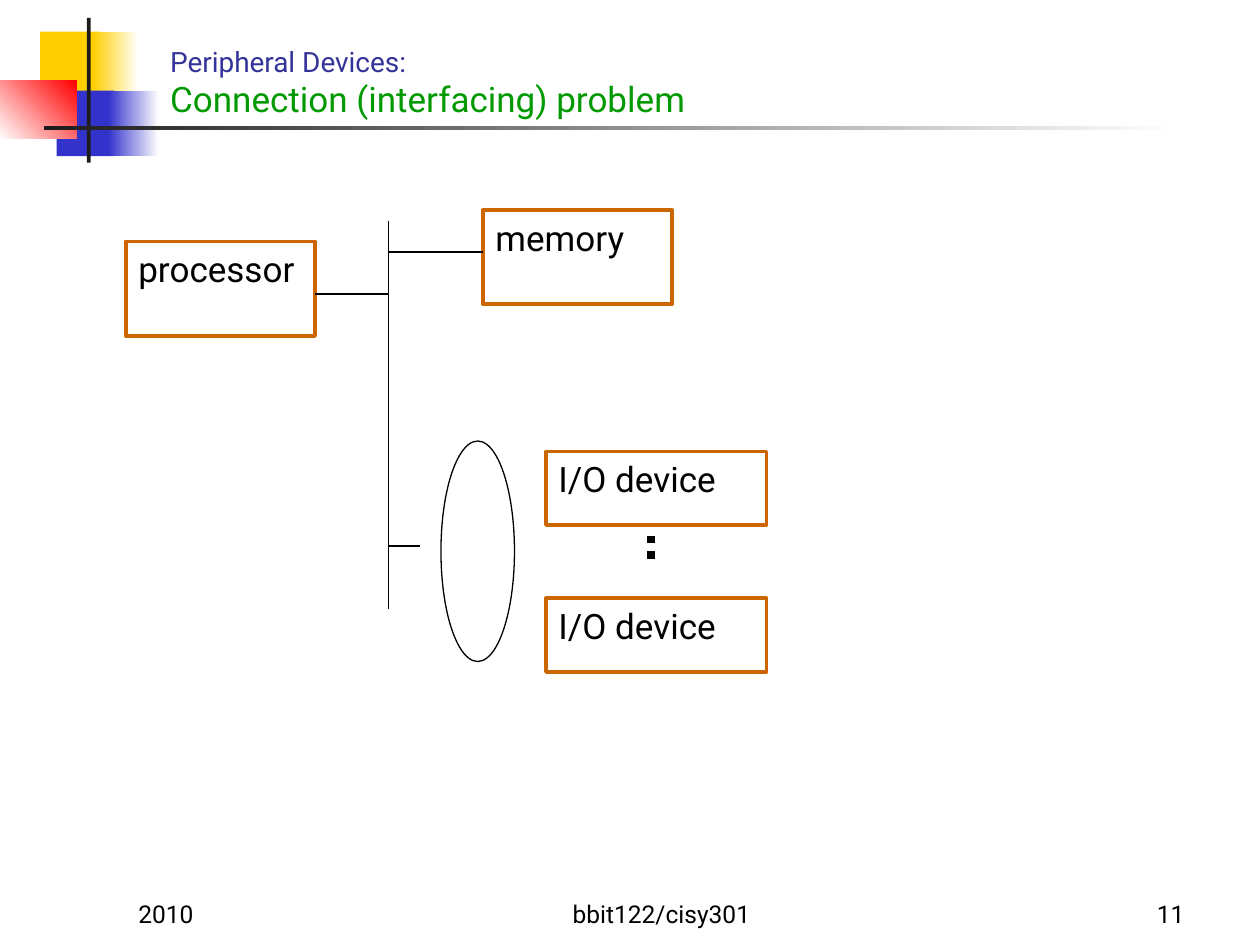
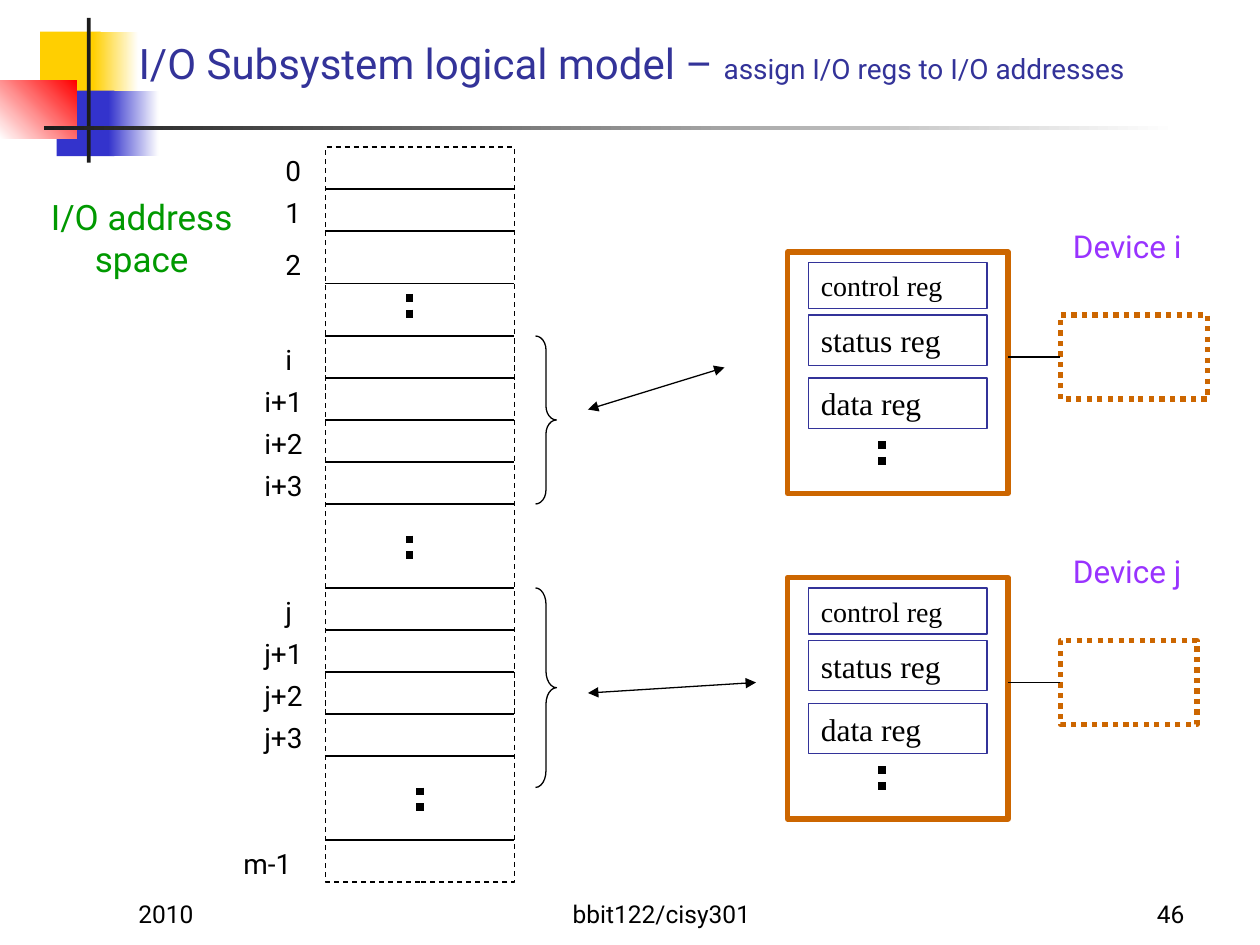
from dataclasses import dataclass

from pptx import Presentation
from pptx.dml.color import RGBColor as Rgb
from pptx.enum.dml import MSO_LINE as Dash
from pptx.enum.shapes import MSO_CONNECTOR as Link, MSO_SHAPE as Preset
from pptx.enum.text import MSO_ANCHOR as Anchor, MSO_AUTO_SIZE as Fit, PP_ALIGN as Align
from pptx.oxml.ns import qn
from pptx.util import Cm, Pt

CELL = 2.54 / 12


@dataclass(frozen=True)
class Theme:
    """Colours, fonts and sizes shared by the slides."""
    sans: str = "Roboto"
    serif: str = "Times New Roman"
    black: str = "000000"
    white: str = "FFFFFF"
    ink: str = "1C1C1C"
    yellow: str = "FFCF01"
    blue: str = "3333CC"
    red: str = "FF0000"
    navy: str = "333399"
    green: str = "009900"
    orange: str = "CC6600"
    purple: str = "9933FF"
    footer: int = 14
    small: int = 16
    medium: int = 18
    large: int = 20
    heading: int = 24
    thin: float = 0.75
    frame: float = 2.25
    thick: float = 3
    dots: float = 4.5


THEME = Theme()


def grid(*cells):
    """Turn cells of the drawing grid into lengths."""
    return [Cm(cell * CELL) for cell in cells]


def add_span(para, text, size, color=THEME.black, font=THEME.sans):
    """Add one formatted run to a paragraph."""
    span = para.add_run()
    span.text = text
    span.font.size = Pt(size)
    span.font.name = font
    span.font.color.rgb = Rgb.from_string(color)


def add_label(page, at, text, size=THEME.small, color=THEME.black,
              align=Align.LEFT, anchor=Anchor.TOP):
    """Place a wrapping text box on the grid."""
    frame = page.shapes.add_textbox(*grid(*at)).text_frame
    frame.word_wrap = True
    frame.vertical_anchor = anchor
    para = frame.paragraphs[0]
    para.alignment = align
    add_span(para, text, size, color)


def add_outline(page, at, color=THEME.black, width=THEME.thin, dash=None, preset=Preset.RECTANGLE):
    """Place an unfilled shape on the grid."""
    box = page.shapes.add_shape(preset, *grid(*at))
    box.shadow.inherit = False
    box.fill.background()
    box.line.color.rgb = Rgb.from_string(color)
    box.line.width = Pt(width)
    if dash:
        box.line.dash_style = dash
    return box


def add_text_box(page, at, text, size=THEME.large, font=THEME.sans,
                 color=THEME.orange, width=THEME.frame):
    """Place an outlined rectangle with text at its top left."""
    box = add_outline(page, at, color, width)
    box.text_frame.vertical_anchor = Anchor.TOP
    para = box.text_frame.paragraphs[0]
    para.alignment = Align.LEFT
    add_span(para, text, size, font=font)


def add_line(page, ends, width=THEME.thin, dash=None):
    """Draw a straight black line between two grid points."""
    line = page.shapes.add_connector(Link.STRAIGHT, *grid(*ends))
    line.line.color.rgb = Rgb.from_string(THEME.black)
    line.line.width = Pt(width)
    if dash:
        line.line.dash_style = dash
    props = line.element.spPr
    props.append(props.makeelement(qn("a:effectLst"), {}))
    return line


def add_dots(page, left, top):
    """Draw the vertical dots that stand for more items."""
    add_line(page, (left, top, left, top + 3), THEME.dots, Dash.ROUND_DOT)


def add_double_arrow(page, ends):
    """Draw a line with an arrowhead at each end."""
    outline = add_line(page, ends).line._get_or_add_ln()
    for tag in ("a:headEnd", "a:tailEnd"):
        outline.append(outline.makeelement(qn(tag), {"type": "triangle"}))


def add_brace(page, left, top, height):
    """Draw a right brace whose curves grow with its height."""
    width = 2
    brace = add_outline(page, (left, top, width, height), preset=Preset.RIGHT_BRACE)
    brace.adjustments[0] = height / 12 / width


def add_band(page, at, start, end=None, angle=0):
    """Draw a borderless block with a plain or gradient fill."""
    band = page.shapes.add_shape(Preset.RECTANGLE, *map(Cm, at))
    band.shadow.inherit = False
    band.line.fill.background()
    if end:
        band.fill.gradient()
        band.fill.gradient_angle = angle
        for stop, color in zip(band.fill.gradient_stops, (start, end)):
            stop.color.rgb = Rgb.from_string(color)
    else:
        band.fill.solid()
        band.fill.fore_color.rgb = Rgb.from_string(start)
    return band


def decorate_layout(page):
    """Draw the corner blocks and rules and hand them to the layout."""
    bands = [
        ((0.81, 0.64, 1.22, 1.32), THEME.yellow),
        ((1.88, 0.64, 0.91, 1.32), THEME.yellow, THEME.white),
        ((1.14, 1.83, 1.17, 1.32), THEME.blue),
        ((2.18, 1.83, 1.02, 1.32), THEME.blue, THEME.white),
        ((0, 1.63, 1.55, 1.17), THEME.white, THEME.red, 45),
        ((1.75, 0.36, 0.08, 2.92), THEME.ink),
        ((0.89, 2.54, 22.86, 0.08), THEME.ink, THEME.white),
    ]
    tree = page.slide_layout.shapes.element
    for number, band in enumerate(bands, 101):
        element = add_band(page, *band).element
        element.nvSpPr.cNvPr.set("id", str(number))
        tree.append(element)


def add_page(deck, layout, number, title_at, title_lines):
    """Add a page with its title lines and footer."""
    page = deck.slides.add_slide(layout)
    title = page.shapes.title
    title.left, title.top, title.width, title.height = grid(*title_at)
    frame = title.text_frame
    frame.auto_size = Fit.NONE
    frame.vertical_anchor = Anchor.BOTTOM
    para = frame.paragraphs[0]
    para.alignment = Align.LEFT
    for index, spans in enumerate(title_lines):
        if index:
            para.add_line_break()
        for span in spans:
            add_span(para, *span)
    for left, width, text, align in ((12, 25, "2010", Align.LEFT),
                                     (44, 38, "bbit122/cisy301", Align.CENTER),
                                     (89, 25, str(number), Align.RIGHT)):
        add_label(page, (left, 83, width, 6), text, THEME.footer,
                  align=align, anchor=Anchor.BOTTOM)
    return page


def draw_bus(page):
    """Draw the processor, memory and devices around the bus."""
    add_text_box(page, (12, 23, 18, 9), "processor")
    add_text_box(page, (46, 20, 18, 9), "memory")
    for top in (43, 57):
        add_text_box(page, (52, top, 21, 7), "I/O device")
    add_dots(page, 62, 51)
    bus = 37
    for ends in ((bus, 21, bus, 58), (30, 28, bus, 28), (bus, 24, 46, 24), (bus, 52, 40, 52)):
        add_line(page, ends)
    add_outline(page, (42, 42, 7, 21), preset=Preset.OVAL)


def draw_address_space(page):
    """Draw the column of addresses with its labels."""
    left, width = 31, 18
    add_label(page, (2, 18, 23, 9), "I/O address space", THEME.large, THEME.green, Align.CENTER)
    add_outline(page, (left, 14, width, 70), dash=Dash.DASH)
    for row in (18, 22, 27, *range(32, 49, 4), *range(56, 73, 4), 80):
        add_line(page, (left, row, left + width, row))
    for text, top in (("0", 14), ("1", 18), ("2", 23), ("i", 32), ("j", 56)):
        add_label(page, (26, top, 5, 4.4), text)
    for name, first in (("i", 32), ("j", 56)):
        for step in (1, 2, 3):
            add_label(page, (24, first + 4 * step, 7, 4.4), f"{name}+{step}")
    add_label(page, (22, 80, 8, 4.4), "m-1")
    for column, top in ((39, 28), (39, 51), (40, 75)):
        add_dots(page, column, top)


def draw_device(page, name, top, port_width):
    """Draw one device: its registers, name and port."""
    add_outline(page, (75, top, 21, 23), THEME.orange, THEME.thick)
    for text, drop, height, size in (("control reg", 1, 4.4, THEME.small),
                                     ("status reg", 6, 4.8, THEME.medium),
                                     ("data reg", 12, 4.8, THEME.medium)):
        add_text_box(page, (77, top + drop, 17, height), text, size,
                     THEME.serif, THEME.navy, THEME.thin)
    add_dots(page, 84, top + 18)
    add_label(page, (101, top - 3, 14, 4.8), name, THEME.medium, THEME.purple)
    port = add_outline(page, (101, top + 6, port_width, 8), THEME.orange,
                       THEME.thick, Dash.ROUND_DOT)
    wire = add_line(page, (101, top + 10, 96, top + 10))
    wire.begin_connect(port, 1)


def main():
    """Build and save the deck."""
    deck = Presentation()
    deck.slide_width, deck.slide_height = Cm(25.4), Cm(19.05)
    layout = deck.slide_layouts[5]

    connection = add_page(deck, layout, 11, (15, 5, 96, 7), [
        [("Peripheral Devices:", THEME.small, THEME.navy)],
        [("Connection (interfacing) problem", THEME.large, THEME.green)],
    ])
    decorate_layout(connection)
    draw_bus(connection)

    model = add_page(deck, layout, 46, (12, 3, 100, 6), [
        [("I/O Subsystem logical model – ", THEME.heading, THEME.navy),
         ("assign I/O regs to I/O addresses", THEME.small, THEME.navy)],
    ])
    draw_address_space(model)
    add_brace(model, 51, 32, 16)
    add_brace(model, 51, 56, 19)
    add_double_arrow(model, (56, 39, 69, 35))
    add_double_arrow(model, (56, 66, 72, 65))
    draw_device(model, "Device i", 24, 14)
    draw_device(model, "Device j", 55, 13)

    deck.save("out.pptx")


if __name__ == "__main__":
    main()
